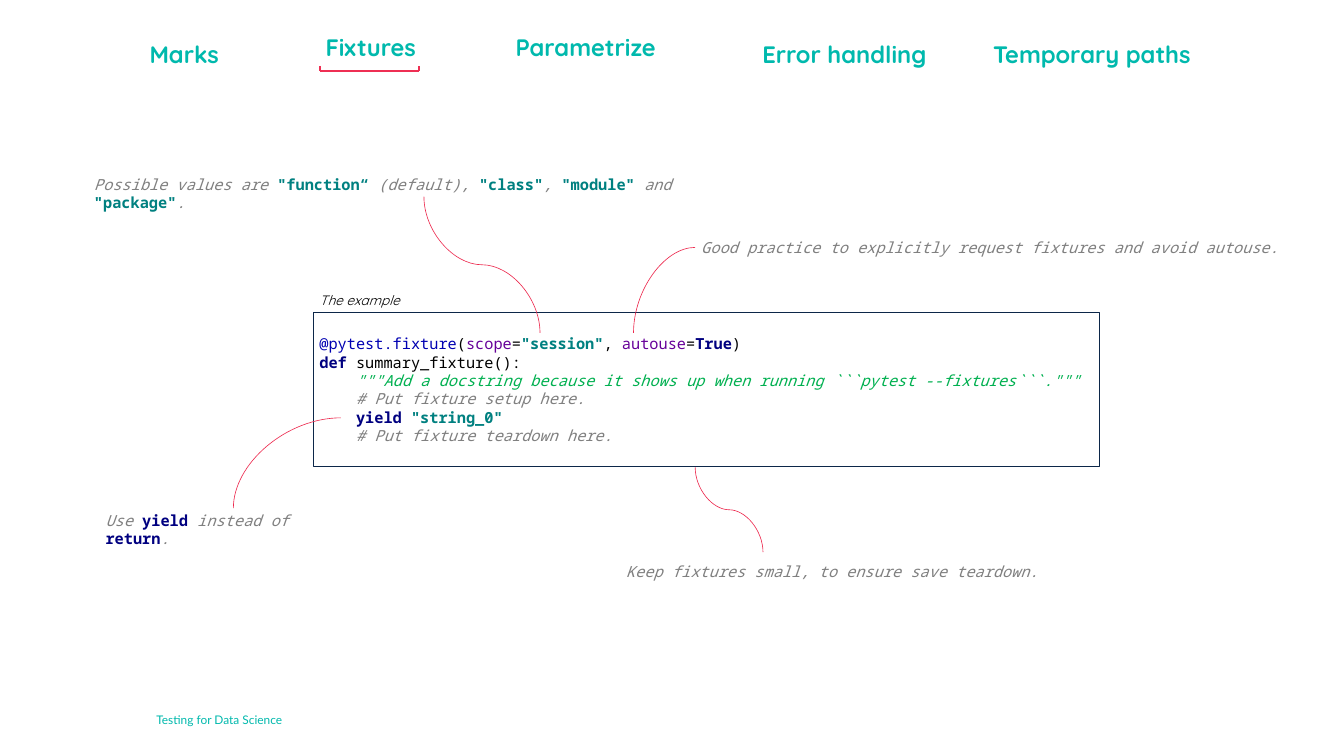
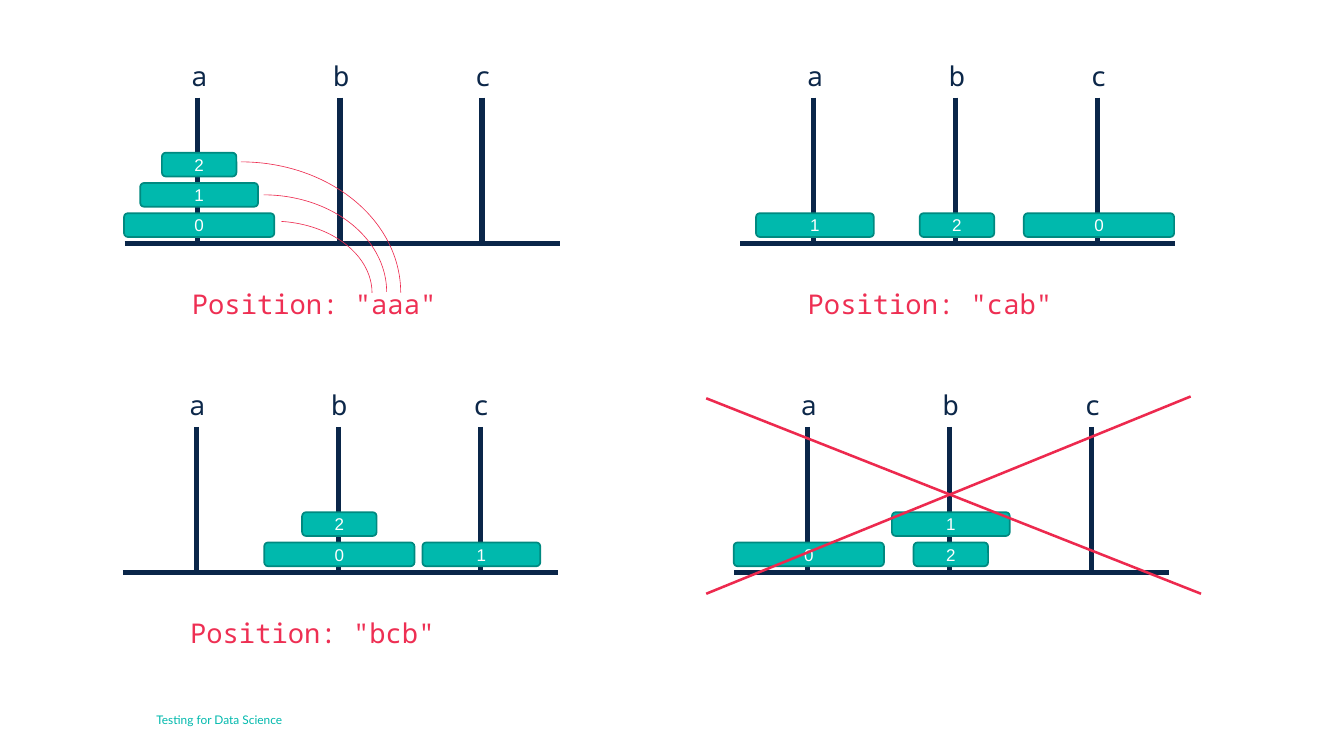
from collections import Counter

from pptx import Presentation
from pptx.dml.color import RGBColor
from pptx.enum.shapes import MSO_CONNECTOR as Link, MSO_SHAPE as Preset
from pptx.enum.text import MSO_ANCHOR as Anchor, PP_ALIGN as Align
from pptx.oxml.ns import qn
from pptx.oxml.xmlchemy import OxmlElement
from pptx.util import Inches, Pt


class Theme:
    TEAL, TEAL_DARK = "00B9AD", "008980"
    NAVY, INK, RED, ROSE = "0A2649", "0C2749", "ED294E", "EE2F53"
    WHITE, BLACK, GREY = "FFFFFF", "000000", "808080"
    STRING, KEYWORD = "008080", "000080"
    COLUMNS = 22
    THIN, RIM, BRACKET, CROSS, POLE = 0.75, 2, 2.25, 3, 6
    CODE_INDENT = 0.6

    MONO = {"name": "Noto Sans Mono", "size": 18}
    STYLES = {
        "note": {**MONO, "color": GREY, "italic": True},
        "string": {**MONO, "color": STRING, "bold": True},
        "keyword": {**MONO, "color": KEYWORD, "bold": True},
        "plain": {**MONO, "color": BLACK},
        "decorator": {**MONO, "color": "0000B2"},
        "argument": {**MONO, "color": "660099"},
        "docstring": {**MONO, "color": "00B050", "italic": True},
        "tab": {"name": "Quicksand", "size": 28, "color": TEAL, "bold": True},
        "caption": {"name": "Quicksand", "size": 16, "color": BLACK, "italic": True},
        "footer": {"name": "Lato", "size": 14, "color": TEAL},
        "peg": {"name": "Noto Sans Mono", "size": 32, "color": INK},
        "position": {"name": "Noto Sans Mono", "size": 32, "color": ROSE},
        "disc": {"name": "Arial", "size": 20, "color": WHITE},
    }


def assign(target, values):
    for name, value in values.items():
        setattr(target, name, value)


class Canvas:
    """Draws on the current page; lengths are cells of a square grid."""

    def __init__(self, deck):
        self.deck = deck
        self.cell = deck.slide_width / Theme.COLUMNS
        self.page = None

    def cells(self, *lengths):
        return [round(length * self.cell) for length in lengths]

    def new_page(self):
        self.page = self.deck.slides.add_slide(self.deck.slide_layouts[6])
        self.text((2.56, 11.59, 11.81, 0.39), [("Testing for Data Science", "footer")],
                  anchor=Anchor.MIDDLE, inset=0)

    def set_text(self, box, lines, align=Align.LEFT, anchor=Anchor.TOP, inset=None, spacing=None):
        """Fill a box with lines, each an (indent, spans) pair."""
        frame = box.text_frame
        assign(frame, {"word_wrap": True, "vertical_anchor": anchor})
        if inset is not None:
            sides = ("left", "top", "right", "bottom")
            assign(frame, {f"margin_{side}": inset for side in sides})
        for number, (indent, spans) in enumerate(lines):
            para = frame.add_paragraph() if number else frame.paragraphs[0]
            assign(para, {"alignment": align, "line_spacing": spacing})
            if indent:
                para._p.get_or_add_pPr().set("marL", str(self.cells(indent)[0]))
            for words, style in spans:
                span = para.add_run()
                span.text = words
                values = dict(Theme.STYLES[style])
                span.font.color.rgb = RGBColor.from_string(values.pop("color"))
                assign(span.font, {**values, "size": Pt(values["size"])})

    def text(self, area, spans, **layout):
        box = self.page.shapes.add_textbox(*self.cells(*area))
        self.set_text(box, [(0, spans)], **layout)

    def shape(self, preset, area, fill, line, width):
        shape = self.page.shapes.add_shape(preset, *self.cells(*area))
        shape.shadow.inherit = False
        if fill:
            shape.fill.solid()
            shape.fill.fore_color.rgb = RGBColor.from_string(fill)
        else:
            shape.fill.background()
        self.stroke(shape, line, width)
        return shape

    def stroke(self, shape, color, width):
        shape.line.color.rgb = RGBColor.from_string(color)
        shape.line.width = Pt(width)

    def line(self, begin, end, color, width, kind=Link.STRAIGHT):
        line = self.page.shapes.add_connector(kind, *self.cells(*begin, *end))
        self.stroke(line, color, width)
        line._element.spPr.append(OxmlElement("a:effectLst"))
        return line

    def curve(self, begin, end, preset, turn, flips):
        """Join two points by a curved connector turned by whole right angles."""
        (x1, y1), (x2, y2) = begin, end
        width, height = abs(x2 - x1), abs(y2 - y1)
        if turn % 180:
            width, height = height, width
        left, top = (x1 + x2 - width) / 2, (y1 + y2 - height) / 2
        curve = self.line((left, top), (left + width, top + height),
                          Theme.RED, Theme.THIN, Link.CURVE)
        properties = curve._element.spPr
        properties.find(qn("a:prstGeom")).set("prst", preset)
        frame = properties.find(qn("a:xfrm"))
        frame.set("rot", str(turn * 60000))
        for axis in flips:
            frame.set(f"flip{axis}", "1")

    def arc(self, area, start=None):
        """Draw a quarter arc; start is an angle in degrees."""
        arc = self.shape(Preset.ARC, area, None, Theme.RED, Theme.THIN)
        if start:
            arc.adjustments[0] = start * 0.6

    def board(self, left, top, pegs, order="012", caption=True):
        """Draw three poles; pegs[i] holds disc i, and discs are laid in the given order."""
        poles = {peg: left + 1.2 + 2.325 * i for i, peg in enumerate("abc")}
        for x in poles.values():
            self.line((x, top + 0.68), (x, top + 3.03), Theme.NAVY, Theme.POLE)
        self.line((left, top + 3.06), (left + 7.12, top + 3.06), Theme.NAVY, Theme.POLE)
        for peg, x in poles.items():
            self.text((x - 0.25, top, 0.54, 0.64), [(peg, "peg")],
                      align=Align.CENTER, anchor=Anchor.MIDDLE)
        levels = Counter()
        for disc in order:
            peg, width = pegs[int(disc)], (2.46, 1.93, 1.22)[int(disc)]
            area = (poles[peg] + 0.02 - width / 2, top + 2.57 - 0.495 * levels[peg], width, 0.39)
            box = self.shape(Preset.ROUNDED_RECTANGLE, area, Theme.TEAL, Theme.TEAL_DARK, Theme.RIM)
            self.set_text(box, [(0, [(disc, "disc")])], Align.CENTER, Anchor.MIDDLE)
            levels[peg] += 1
        if caption:
            self.text((left + 0.26, top + 3.73, 5.69, 0.64), [(f'Position: "{pegs}"', "position")],
                      align=Align.CENTER, anchor=Anchor.MIDDLE)


CODE = [
    (0, [("@pytest.fixture", "decorator"), ("(", "plain"), ("scope", "argument"),
         ("=", "plain"), ('"session"', "string"), (", ", "plain"),
         ("autouse", "argument"), ("=", "plain"), ("True", "keyword"), (")", "plain")]),
    (0, [("def ", "keyword"), ("summary_fixture():", "plain")]),
    (Theme.CODE_INDENT, [('"""Add a docstring because it shows up when running '
                          '```pytest --fixtures```."""', "docstring")]),
    (Theme.CODE_INDENT, [("# Put fixture setup here.", "note")]),
    (Theme.CODE_INDENT, [("yield ", "keyword"), ('"string_0"', "string")]),
    (Theme.CODE_INDENT, [("# Put fixture teardown here.", "note")]),
]

NOTES = [
    ((1.44, 2.82, 10.99, 0.4),
     [("Possible values are ", "note"), ('"function“ ', "string"), ("(default), ", "note"),
      ('"class"', "string"), (", ", "note"), ('"module"', "string"), (" and ", "note"),
      ('"package"', "string"), (".", "note")]),
    ((11.38, 3.85, 9.91, 0.4),
     [("Good practice to explicitly request fixtures and avoid autouse.", "note")]),
    ((1.63, 8.32, 4.38, 0.4),
     [("Use ", "note"), ("yield", "keyword"), (" instead of ", "note"),
      ("return", "keyword"), (".", "note")]),
    ((10.15, 9.15, 7.38, 0.4), [("Keep fixtures small, to ensure save teardown.", "note")]),
]


def fixtures_page(canvas):
    canvas.new_page()
    box = canvas.shape(Preset.RECTANGLE, (5.13, 5.12, 12.86, 2.52),
                       Theme.WHITE, Theme.INK, Theme.THIN)
    canvas.set_text(box, CODE, anchor=Anchor.MIDDLE)
    canvas.text((5.13, 4.73, 10.16, 0.37), [("The example", "caption")], anchor=Anchor.BOTTOM)
    for area, spans in NOTES:
        canvas.text(area, spans)

    for begin, end, preset, turn, flips in (
        ((6.94, 3.22), (8.84, 5.45), "curvedConnector3", 270, "H"),
        ((11.38, 4.05), (10.37, 5.45), "curvedConnector2", 180, "V"),
        ((3.82, 8.32), (5.58, 6.84), "curvedConnector2", 90, "HV"),
        ((11.38, 7.65), (12.49, 9.04), "curvedConnector3", 270, "H"),
    ):
        canvas.curve(begin, end, preset, turn, flips)

    for name, left, top, spacing in (
        ("Marks", 2.35, 0.27, 1.71),
        ("Fixtures", 5.23, 0.49, None),
        ("Parametrize", 8.34, 0.49, None),
        ("Error handling", 12.38, 0.27, 1.71),
        ("Temporary paths", 16.16, 0.27, 1.71),
    ):
        canvas.text((left, top, 3.94, 0.6), [(name, "tab")], spacing=spacing)
    bracket = [(5.24, 1.08), (5.24, 1.16), (6.86, 1.16), (6.86, 1.08)]
    for begin, end in zip(bracket, bracket[1:]):
        canvas.line(begin, end, Theme.ROSE, Theme.BRACKET)


def positions_page(canvas):
    canvas.new_page()
    upper, lower = 0.92, 6.31
    canvas.board(2.04, upper, "aaa")
    canvas.board(12.12, upper, "cab")
    canvas.board(2.01, lower, "bcb")
    canvas.board(12.02, lower, "abb", order="021", caption=False)
    canvas.arc((2.84, 3.62, 3.25, 2.35), start=276.81)
    canvas.arc((2.3, 3.19, 4.03, 3.18))
    canvas.arc((1.33, 2.65, 5.23, 4.28))
    for begin, end in (((11.56, 6.52), (19.66, 9.72)), ((11.56, 9.72), (19.49, 6.49))):
        canvas.line(begin, end, Theme.RED, Theme.CROSS)


def main():
    deck = Presentation()
    assign(deck, {"slide_width": Inches(21.99), "slide_height": Inches(12.37)})
    canvas = Canvas(deck)
    fixtures_page(canvas)
    positions_page(canvas)
    deck.save("out.pptx")


if __name__ == "__main__":
    main()
